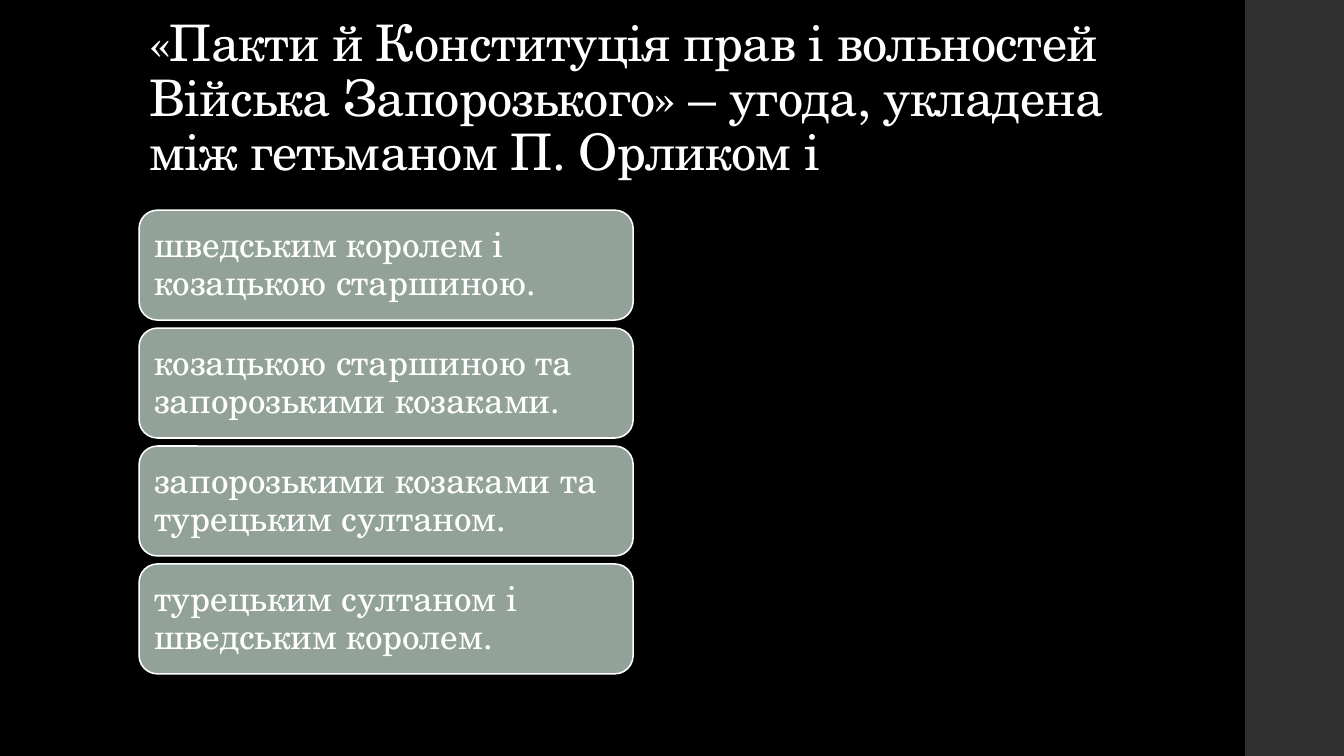
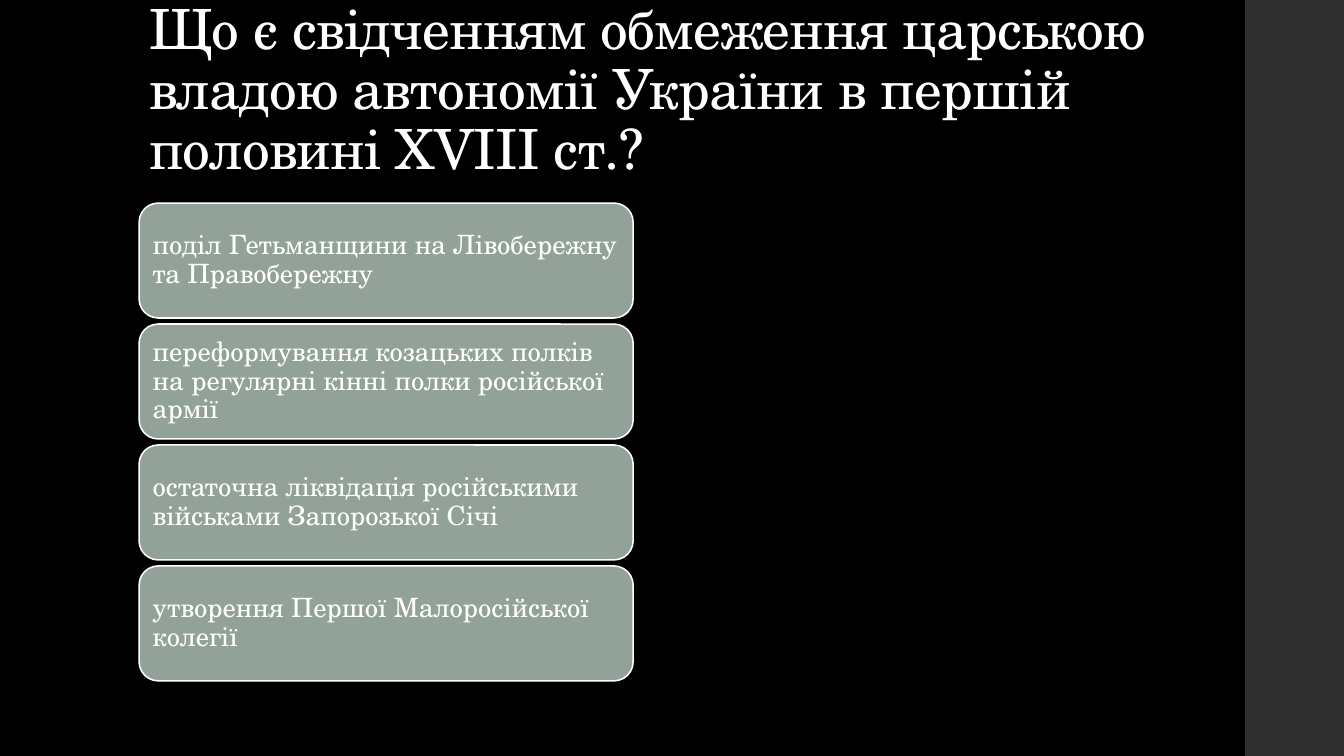
from dataclasses import dataclass

from pptx import Presentation
from pptx import util as u
from pptx.dml.color import RGBColor
from pptx.enum import shapes, text


@dataclass(frozen=True)
class Theme:
    font: str = "TeX Gyre Schola"
    background: RGBColor = RGBColor(0, 0, 0)
    band: RGBColor = RGBColor(0x30, 0x30, 0x30)
    answer: RGBColor = RGBColor(0x93, 0xA2, 0x99)
    ink: RGBColor = RGBColor(0xFF, 0xFF, 0xFF)
    outline: float = 1.1
    line_spacing: float = 0.9
    title_tracking: int = -50


@dataclass(frozen=True)
class Question:
    title: str
    title_size: float
    answers: tuple
    answer_size: float
    answer_height: float
    gap: float
    inset: float


THEME = Theme()
WIDTH, HEIGHT = 13.33, 7.5
BAND_BOX = (12.35, 0, 1, HEIGHT)
TITLE_BOX = (1.38, 0.4, 10.6, 1.45)
ANSWERS_BOX = (1.38, 2, 4.9, 4.77)

QUESTIONS = (
    Question(
        "«Пакти й Конституція прав і вольностей Війська Запорозького» – "
        "угода, укладена між гетьманом П. Орликом і",
        36,
        (
            "шведським королем і козацькою старшиною.",
            "козацькою старшиною та запорозькими козаками.",
            "запорозькими козаками та турецьким султаном.",
            "турецьким султаном і шведським королем.",
        ),
        25, 1.09, 0.08, 0.1,
    ),
    Question(
        "Що є свідченням обмеження царською владою автономії України "
        "в першій половині XVIII ст.?",
        39.6,
        (
            "поділ Гетьманщини на Лівобережну та Правобережну",
            "переформування козацьких полків на регулярні кінні полки російської армії",
            "остаточна ліквідація російськими військами Запорозької Січі",
            "утворення Першої Малоросійської колегії",
        ),
        19, 1.14, 0.06, 0.08,
    ),
)


def inches(box):
    return [u.Inches(length) for length in box]


def add_block(slide, kind, box, fill):
    s = slide.shapes.add_shape(kind, *inches(box))
    s.shadow.inherit = False
    s.fill.solid()
    s.fill.fore_color.rgb = fill
    s.line.fill.background()
    return s


def write(tf, wording, size, anchor):
    tf.word_wrap = True
    tf.vertical_anchor = anchor
    p = tf.paragraphs[0]
    p.alignment = text.PP_ALIGN.LEFT
    p.line_spacing = THEME.line_spacing
    r = p.add_run()
    r.text = wording
    r.font.name = THEME.font
    r.font.size = u.Pt(size)
    r.font.color.rgb = THEME.ink
    return r


def add_title(slide, box, wording, size):
    tf = slide.shapes.add_textbox(*inches(box)).text_frame
    r = write(tf, wording, size, text.MSO_ANCHOR.BOTTOM)
    r._r.get_or_add_rPr().set("spc", str(THEME.title_tracking))


def add_answers(slide, box, question):
    left, top, width, height = box
    pitch = question.answer_height + question.gap
    stack = pitch * len(question.answers) - question.gap
    first = top + (height - stack) / 2
    for row, answer in enumerate(question.answers):
        s = add_block(
            slide, shapes.MSO_SHAPE.ROUNDED_RECTANGLE,
            (left, first + row * pitch, width, question.answer_height), THEME.answer,
        )
        s.line.color.rgb = THEME.ink
        s.line.width = u.Pt(THEME.outline)
        tf = s.text_frame
        tf.margin_left = tf.margin_right = u.Inches(question.inset)
        tf.margin_top = tf.margin_bottom = u.Inches(question.inset)
        write(tf, answer, question.answer_size, text.MSO_ANCHOR.MIDDLE)


def add_question_slide(prs, question):
    slide = prs.slides.add_slide(prs.slide_layouts[6])
    add_block(slide, shapes.MSO_SHAPE.RECTANGLE, BAND_BOX, THEME.band)
    add_title(slide, TITLE_BOX, question.title, question.title_size)
    add_answers(slide, ANSWERS_BOX, question)


def main():
    prs = Presentation()
    prs.slide_width, prs.slide_height = inches((WIDTH, HEIGHT))
    background = prs.slide_master.background.fill
    background.solid()
    background.fore_color.rgb = THEME.background
    for question in QUESTIONS:
        add_question_slide(prs, question)
    prs.save("out.pptx")


if __name__ == "__main__":
    main()
